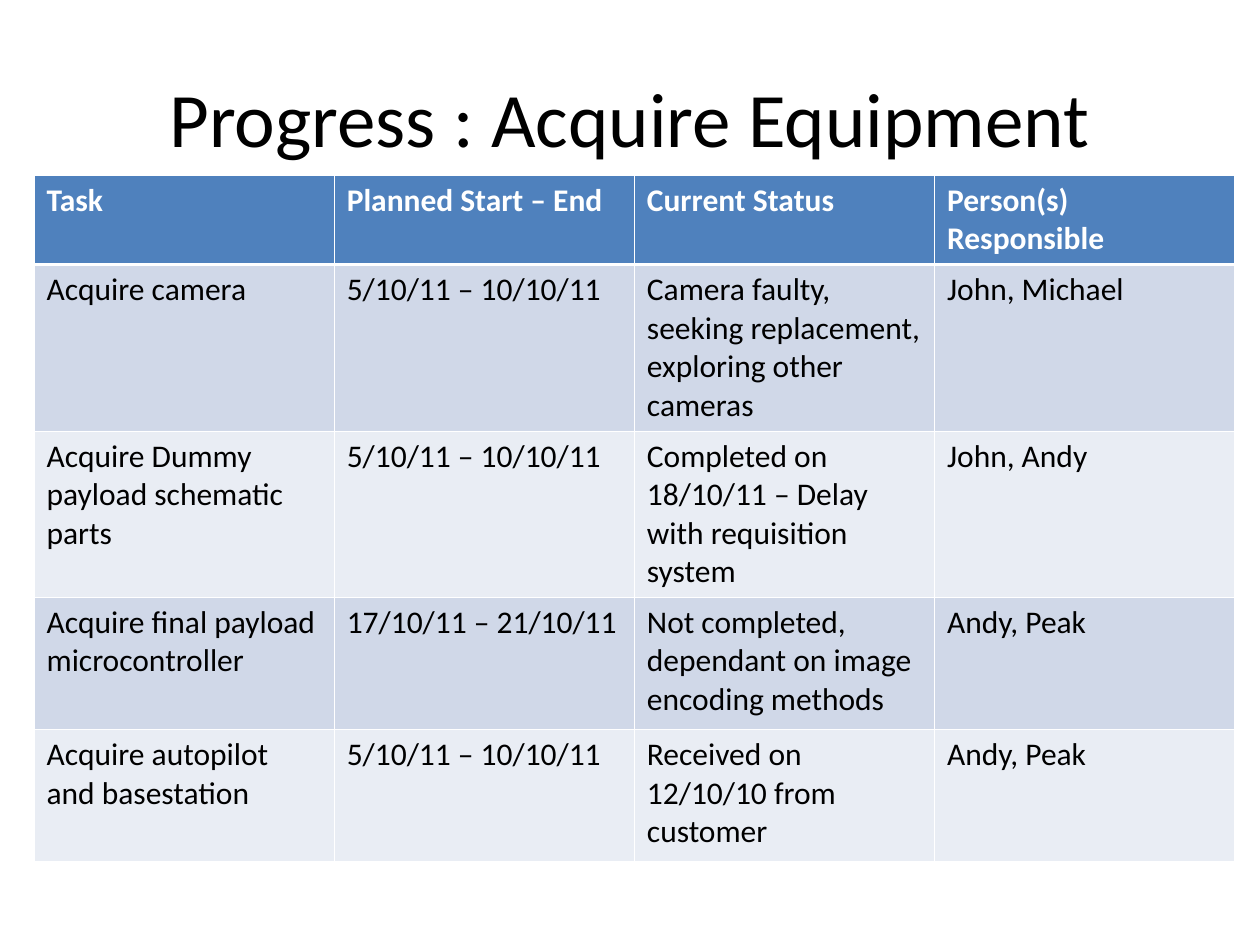
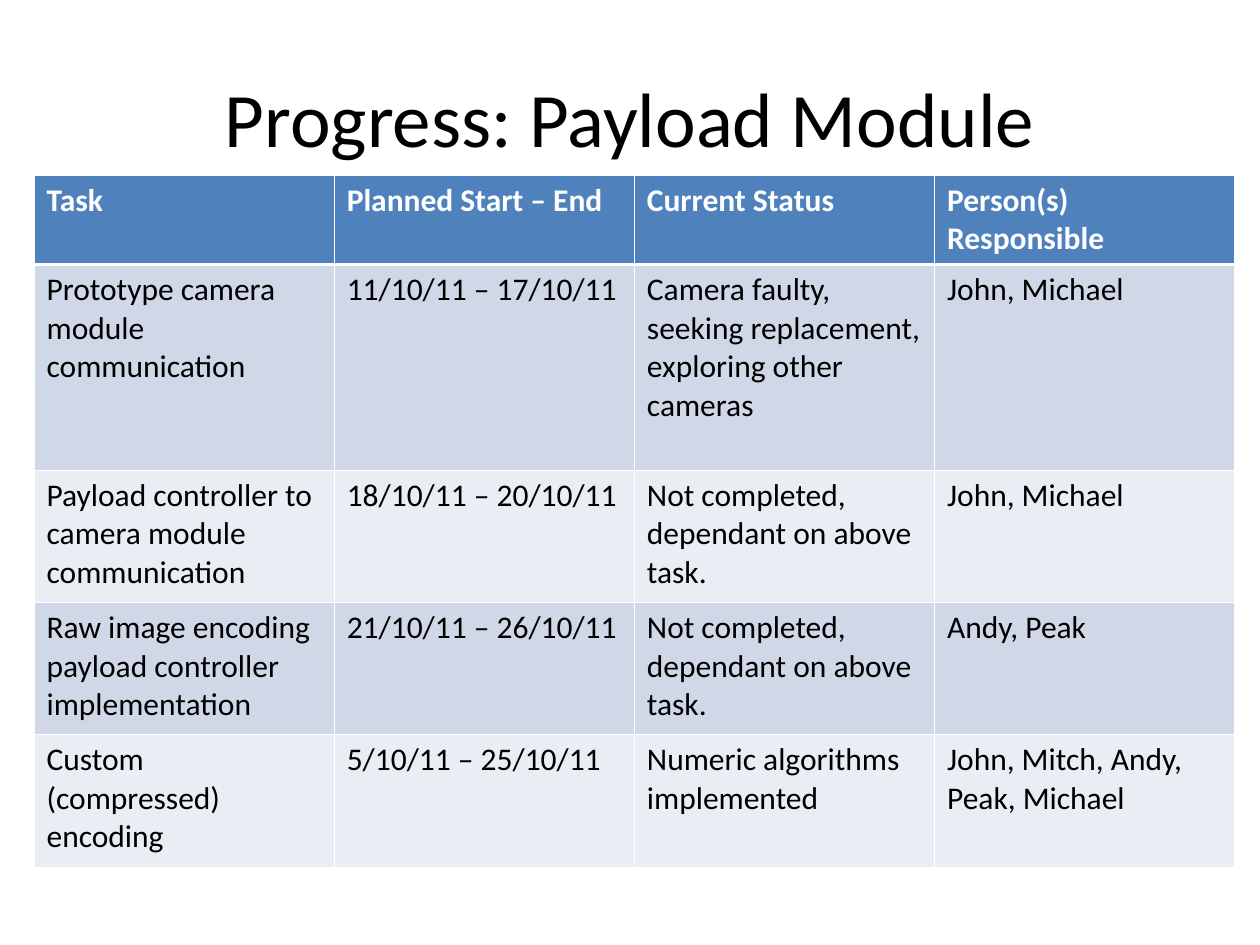
from dataclasses import dataclass

import lxml.etree
import pptx
import pptx.dml.color
import pptx.enum.text
import pptx.oxml.ns
import pptx.presentation
import pptx.slide
import pptx.table
import pptx.util
from pptx.util import Inches

FONT = "Calibri"
BLACK = pptx.dml.color.RGBColor(0x00, 0x00, 0x00)
WHITE = pptx.dml.color.RGBColor(0xFF, 0xFF, 0xFF)
HEADER_BLUE = pptx.dml.color.RGBColor(0x4F, 0x81, 0xBD)
BAND_DARK = pptx.dml.color.RGBColor(0xD0, 0xD8, 0xE8)
BAND_LIGHT = pptx.dml.color.RGBColor(0xE9, 0xED, 0xF4)
THIN = pptx.util.Pt(0.45)
THICK = pptx.util.Pt(1.47)


@dataclass(frozen=True)
class Task:
    name: str
    planned: str
    status: str
    people: str
    height: float


@dataclass(frozen=True)
class ProgressReport:
    title: str
    tasks: tuple[Task, ...]


HEADER = Task("Task", "Planned Start – End", "Current Status", "Person(s) Responsible", 0.71)

REPORTS = (
    ProgressReport("Progress : Acquire Equipment", (
        Task("Acquire camera", "5/10/11 – 10/10/11",
             "Camera faulty, seeking replacement, exploring other cameras",
             "John, Michael", 1.32),
        Task("Acquire Dummy payload schematic parts", "5/10/11 – 10/10/11",
             "Completed on 18/10/11 – Delay with requisition system",
             "John, Andy", 1.32),
        Task("Acquire final payload microcontroller", "17/10/11 – 21/10/11",
             "Not completed, dependant on image encoding methods",
             "Andy, Peak", 1.05),
        Task("Acquire autopilot and basestation", "5/10/11 – 10/10/11",
             "Received on 12/10/10 from customer",
             "Andy, Peak", 1.05),
    )),
    ProgressReport("Progress: Payload Module", (
        Task("Prototype camera module communication", "11/10/11 – 17/10/11",
             "Camera faulty, seeking replacement,\nexploring other cameras",
             "John, Michael", 1.63),
        Task("Payload controller to camera module communication", "18/10/11 – 20/10/11",
             "Not completed, dependant on above task.",
             "John, Michael", 1.05),
        Task("Raw image encoding payload controller implementation", "21/10/11 – 26/10/11",
             "Not completed, dependant on above task.",
             "Andy, Peak", 1.05),
        Task("Custom (compressed) encoding", "5/10/11 – 25/10/11",
             "Numeric algorithms implemented",
             "John, Mitch, Andy, Peak, Michael", 1.05),
    )),
)


def add_title(slide: pptx.slide.Slide, title: str) -> None:
    frame = slide.shapes.add_textbox(Inches(0.5), Inches(0.3), Inches(9), Inches(1.25)).text_frame
    frame.word_wrap = True
    frame.vertical_anchor = pptx.enum.text.MSO_ANCHOR.MIDDLE
    frame.text = title
    heading = frame.paragraphs[0]
    heading.alignment = pptx.enum.text.PP_ALIGN.CENTER
    heading.font.name = FONT
    heading.font.size = pptx.util.Pt(44)
    heading.font.color.rgb = BLACK


def add_borders(cell: pptx.table._Cell, top: int, bottom: int) -> None:
    """Draw white cell borders; must run before the cell fill is set."""
    properties = cell._tc.get_or_add_tcPr()
    qn = pptx.oxml.ns.qn
    for edge, width in (("L", THIN), ("R", THIN), ("T", top), ("B", bottom)):
        line = lxml.etree.SubElement(properties, qn(f"a:ln{edge}"), w=str(int(width)))
        fill = lxml.etree.SubElement(line, qn("a:solidFill"))
        lxml.etree.SubElement(fill, qn("a:srgbClr"), val=str(WHITE))


def fill_cell(cell: pptx.table._Cell, text: str, row: int) -> None:
    is_header = row == 0
    add_borders(cell, THICK if row == 1 else THIN, THICK if is_header else THIN)
    cell.fill.solid()
    band = BAND_DARK if row % 2 else BAND_LIGHT
    cell.fill.fore_color.rgb = HEADER_BLUE if is_header else band
    cell.text = text
    for paragraph in cell.text_frame.paragraphs:
        paragraph.font.name = FONT
        paragraph.font.size = pptx.util.Pt(18)
        paragraph.font.bold = is_header
        paragraph.font.color.rgb = WHITE if is_header else BLACK


def add_task_table(slide: pptx.slide.Slide, tasks: tuple[Task, ...]) -> None:
    rows = (HEADER, *tasks)
    height = Inches(sum(task.height for task in rows))
    table = slide.shapes.add_table(
        len(rows), 4, Inches(0.27), Inches(1.39), Inches(9.53), height).table
    for row, task in enumerate(rows):
        table.rows[row].height = Inches(task.height)
        texts = (task.name, task.planned, task.status, task.people)
        for column, text in enumerate(texts):
            fill_cell(table.cell(row, column), text, row)


def add_report(deck: pptx.presentation.Presentation, report: ProgressReport) -> None:
    slide = deck.slides.add_slide(deck.slide_layouts[6])
    add_title(slide, report.title)
    add_task_table(slide, report.tasks)


def main() -> None:
    deck = pptx.Presentation()
    deck.slide_width, deck.slide_height = Inches(10), Inches(7.5)
    for report in REPORTS:
        add_report(deck, report)
    deck.save("out.pptx")


if __name__ == "__main__":
    main()
